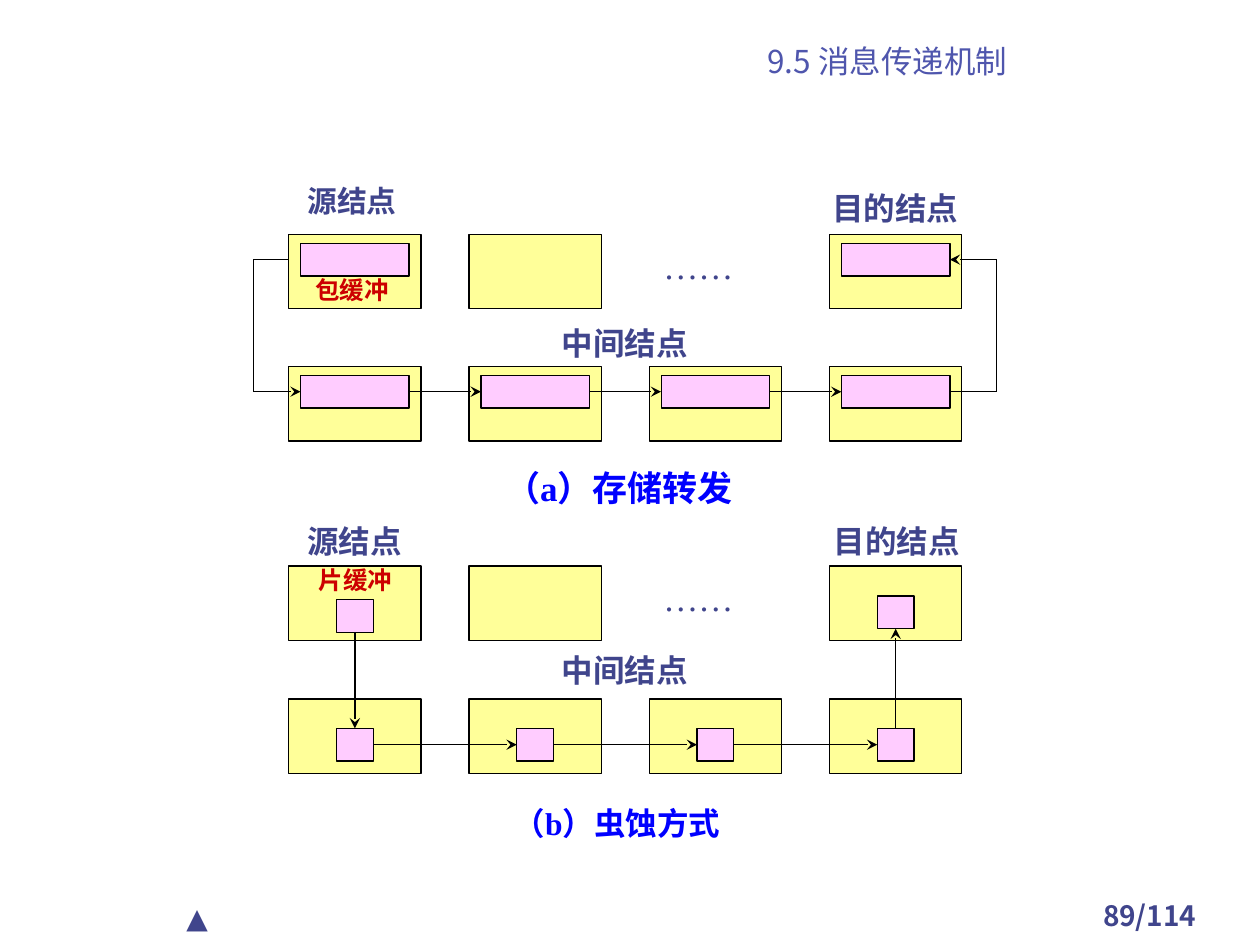
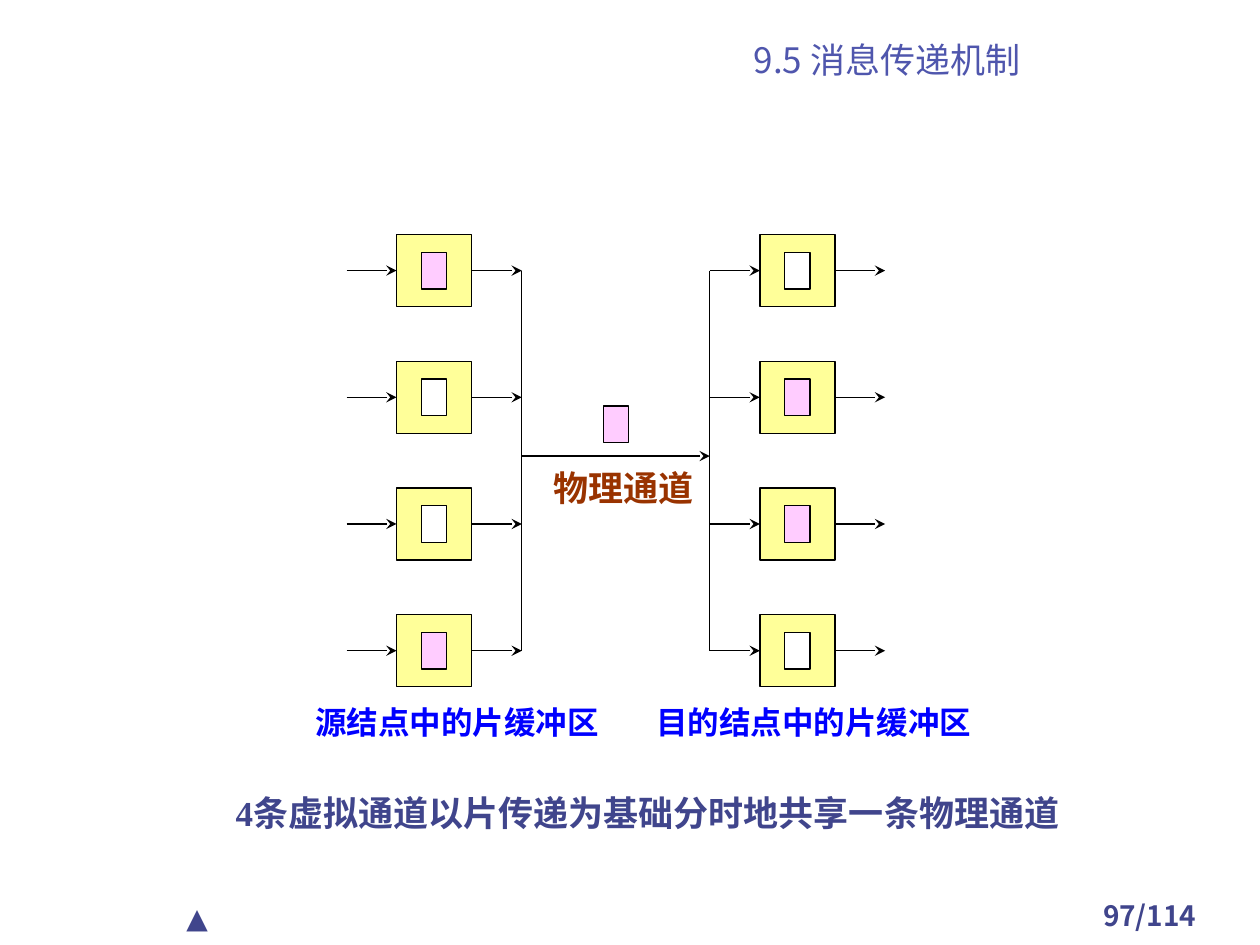
from lxml import etree
from pptx import Presentation
from pptx.dml.color import RGBColor
from pptx.enum.shapes import MSO_CONNECTOR, MSO_SHAPE
from pptx.enum.text import MSO_ANCHOR, MSO_AUTO_SIZE, PP_ALIGN
from pptx.oxml.ns import qn
from pptx.util import Pt

RECT, STRAIGHT = MSO_SHAPE.RECTANGLE, MSO_CONNECTOR.STRAIGHT
CENTER, BOTTOM, NO_FIT = PP_ALIGN.CENTER, MSO_ANCHOR.BOTTOM, MSO_AUTO_SIZE.NONE
TOP_SIDE, LEFT_SIDE, BOTTOM_SIDE, RIGHT_SIDE = range(4)

# Shared look
SANS, SERIF, MARK = "Noto Sans CJK SC", "Times New Roman", "Karla"
INDIGO, TITLE_INK, BLUE, RED, BROWN = "40458C", "4F56AD", "0000FF", "CC0000", "993300"
YELLOW, PINK, WHITE, BLACK = "FFFF99", "FFCCFF", "FFFFFF", "000000"
TITLE = "9.5 消息传递机制"
TITLE_BOX = (306, 19.5, 402, 30)
PAGE_BOX = (606, 510, 102, 24)
MARK_BOX = (99.5, 511, 102, 27)

# Slide 1: text, box, format
ROUTING_LABELS = [
    ("源结点", (168.5, 103.5, 95, 28), dict(size=17, spacing=0.9)),
    ("目的结点", (468.5, 104.5, 89, 33), {}),
    ("包缓冲", (173, 153.5, 72, 33), dict(size=14, color=RED)),
    ("……", (372, 136, 82, 35), dict(size=20, bold=False, ea=SERIF)),
    ("中间结点", (314, 181.5, 89, 33), {}),
    ("（a）存储转发", (281.5, 263, 248, 35), dict(size=20, color=BLUE)),
    ("源结点", (168.5, 295, 74, 33), {}),
    ("目的结点", (469.5, 295, 89, 33), {}),
    ("片缓冲", (175, 319.5, 72, 33), dict(size=14, color=RED)),
    ("……", (372, 326, 82, 35), dict(size=20, bold=False, ea=SERIF)),
    ("中间结点", (314, 368.5, 89, 33), {}),
    ("（b）虫蚀方式", (286.5, 456, 249, 35), dict(color=BLUE)),
]
NODE_X, NODE_STEP, NODE_W, NODE_H = 165, 103, 75.6, 42.5
PACKET_W, FLIT_W, BUFFER_H, PACKET_DY = 62, 21, 18.7, 5
STORE_ROWS, WORM_ROWS = (134, 209.5), (323.5, 399.5)
END_COLS, ALL_COLS = (0, 1, 3), (0, 1, 2, 3)
LOOP_LEFT, LOOP_RIGHT = 144.7, 569.5
SOURCE_FLIT_Y, TARGET_FLIT_Y, RELAY_FLIT_Y = 342.7, 340.6, 416.2

# Slide 2
CHANNEL_LABELS = [
    ("物理通道", (309, 263, 99, 41), dict(size=20, color=BROWN)),
    ("源结点中的片缓冲区", (173, 398, 187, 42), dict(color=BLUE)),
    ("目的结点中的片缓冲区", (368, 398, 202, 36), dict(color=BLUE)),
    ("4条虚拟通道以片传递为基础分时地共享一条物理通道",
     (127.5, 448.5, 533, 32), dict(size=20, before=12.5)),
]
# left edge of the buffers, and the fill of the slot in each lane
BUFFER_COLUMNS = [
    (226.6, (PINK, WHITE, WHITE, PINK)),
    (434.2, (WHITE, PINK, PINK, WHITE)),
]
LANE_Y, LANE_STEP, LANE_W, LANE_H, ARROW = 134, 72.4, 43, 41.3, 28.6
SLOT_W, SLOT_H = 14.4, 20.9
BUS_LEFT, BUS_RIGHT, CHANNEL_Y = 298.2, 405.6, 260.6


def rgb(value):
    return RGBColor.from_string(value)


def write(tf, text, size=18, color=INDIGO, font=SERIF, ea=SANS, bold=True,
          align=None, before=0, spacing=None):
    tf.word_wrap = True
    tf.auto_size = NO_FIT
    p = tf.paragraphs[0]
    p.alignment = align
    p.space_before = Pt(before)
    p.line_spacing = spacing
    r = p.add_run()
    r.text = text
    r.font.size, r.font.bold, r.font.name = Pt(size), bold, font
    r.font.color.rgb = rgb(color)
    etree.SubElement(r.font._element, qn("a:ea"), typeface=ea)


def label(s, text, box, **fmt):
    write(s.shapes.add_textbox(*map(Pt, box)).text_frame, text, **fmt)


def rect(s, x, y, w, h, fill):
    sp = s.shapes.add_shape(RECT, Pt(x), Pt(y), Pt(w), Pt(h))
    sp.shadow.inherit = False
    sp.fill.solid()
    sp.fill.fore_color.rgb = rgb(fill)
    sp.line.color.rgb = rgb(BLACK)
    sp.line.width = Pt(0.75)
    return sp


def link(s, start, end, arrow=True):
    """Each end is a point (x, y) or a joint (shape, side)."""
    points = [e if isinstance(e[0], (int, float)) else (0, 0) for e in (start, end)]
    c = s.shapes.add_connector(STRAIGHT, *(Pt(v) for point in points for v in point))
    for e, connect in ((start, c.begin_connect), (end, c.end_connect)):
        if not isinstance(e[0], (int, float)):
            connect(*e)
    c.line.color.rgb = rgb(BLACK)
    c.line.width = Pt(0.75)
    sppr = c._element.spPr
    if arrow:
        etree.SubElement(sppr.get_or_add_ln(), qn("a:tailEnd"), type="stealth")
    etree.SubElement(sppr, qn("a:effectLst"))


def new_slide(prs, page, title_size):
    s = prs.slides.add_slide(prs.slide_layouts[5])
    title = s.shapes.title
    title.left, title.top, title.width, title.height = map(Pt, TITLE_BOX)
    title.text_frame.vertical_anchor = BOTTOM
    write(title.text_frame, TITLE, size=title_size, color=TITLE_INK, font=SANS,
          bold=False, align=CENTER)
    label(s, page, PAGE_BOX, size=16, font=SANS, align=CENTER)
    label(s, "▲", MARK_BOX, size=16, font=MARK, ea=MARK, bold=False, before=10)
    return s


def node_x(col):
    return NODE_X + col * NODE_STEP


def draw_nodes(s, rows):
    for y, cols in zip(rows, (END_COLS, ALL_COLS)):
        for col in cols:
            rect(s, node_x(col), y, NODE_W, NODE_H, YELLOW)


def buffer(s, col, y, w):
    return rect(s, node_x(col) + (NODE_W - w) / 2, y, w, BUFFER_H, PINK)


def chain(s, buffers):
    for a, b in zip(buffers, buffers[1:]):
        link(s, (a, RIGHT_SIDE), (b, LEFT_SIDE))


def routing_slide(prs):
    s = new_slide(prs, "89/114", 18)

    # (a) store and forward
    draw_nodes(s, STORE_ROWS)
    top, low = (y + PACKET_DY for y in STORE_ROWS)
    buffer(s, 0, top, PACKET_W)
    target = buffer(s, 3, top, PACKET_W)
    relays = [buffer(s, col, low, PACKET_W) for col in ALL_COLS]
    chain(s, relays)
    top_mid, low_mid = top + BUFFER_H / 2, low + BUFFER_H / 2
    link(s, (NODE_X, top_mid), (LOOP_LEFT, top_mid), arrow=False)
    link(s, (LOOP_LEFT, top_mid), (LOOP_LEFT, low_mid), arrow=False)
    link(s, (LOOP_LEFT, low_mid), (relays[0], LEFT_SIDE))
    link(s, (relays[-1], RIGHT_SIDE), (LOOP_RIGHT, low_mid), arrow=False)
    link(s, (LOOP_RIGHT, low_mid), (LOOP_RIGHT, top_mid), arrow=False)
    link(s, (LOOP_RIGHT, top_mid), (target, RIGHT_SIDE))

    # (b) wormhole
    draw_nodes(s, WORM_ROWS)
    source = buffer(s, 0, SOURCE_FLIT_Y, FLIT_W)
    target = buffer(s, 3, TARGET_FLIT_Y, FLIT_W)
    relays = [buffer(s, col, RELAY_FLIT_Y, FLIT_W) for col in ALL_COLS]
    chain(s, relays)
    link(s, (source, BOTTOM_SIDE), (relays[0], TOP_SIDE))
    link(s, (relays[-1], TOP_SIDE), (target, BOTTOM_SIDE))

    for text, box, fmt in ROUTING_LABELS:
        label(s, text, box, **fmt)


def channel_slide(prs):
    s = new_slide(prs, "97/114", 20)

    # Virtual channel buffers
    for x, fills in BUFFER_COLUMNS:
        for lane, fill in enumerate(fills):
            y = LANE_Y + lane * LANE_STEP
            mid = y + LANE_H / 2
            box = rect(s, x, y, LANE_W, LANE_H, YELLOW)
            rect(s, x + (LANE_W - SLOT_W) / 2, mid - SLOT_H / 2, SLOT_W, SLOT_H, fill)
            link(s, (x - ARROW, mid), (box, LEFT_SIDE))
            link(s, (box, RIGHT_SIDE), (x + LANE_W + ARROW, mid))

    # Shared physical channel
    first = LANE_Y + LANE_H / 2
    for x in (BUS_LEFT, BUS_RIGHT):
        link(s, (x, first), (x, first + 3 * LANE_STEP), arrow=False)
    link(s, (BUS_LEFT, CHANNEL_Y), (BUS_RIGHT, CHANNEL_Y))
    rect(s, 344.9, 232, SLOT_W, SLOT_H, PINK)

    for text, box, fmt in CHANNEL_LABELS:
        label(s, text, box, **fmt)


def main():
    prs = Presentation()
    prs.slide_width, prs.slide_height = Pt(720), Pt(540)
    routing_slide(prs)
    channel_slide(prs)
    prs.save("out.pptx")


if __name__ == "__main__":
    main()
